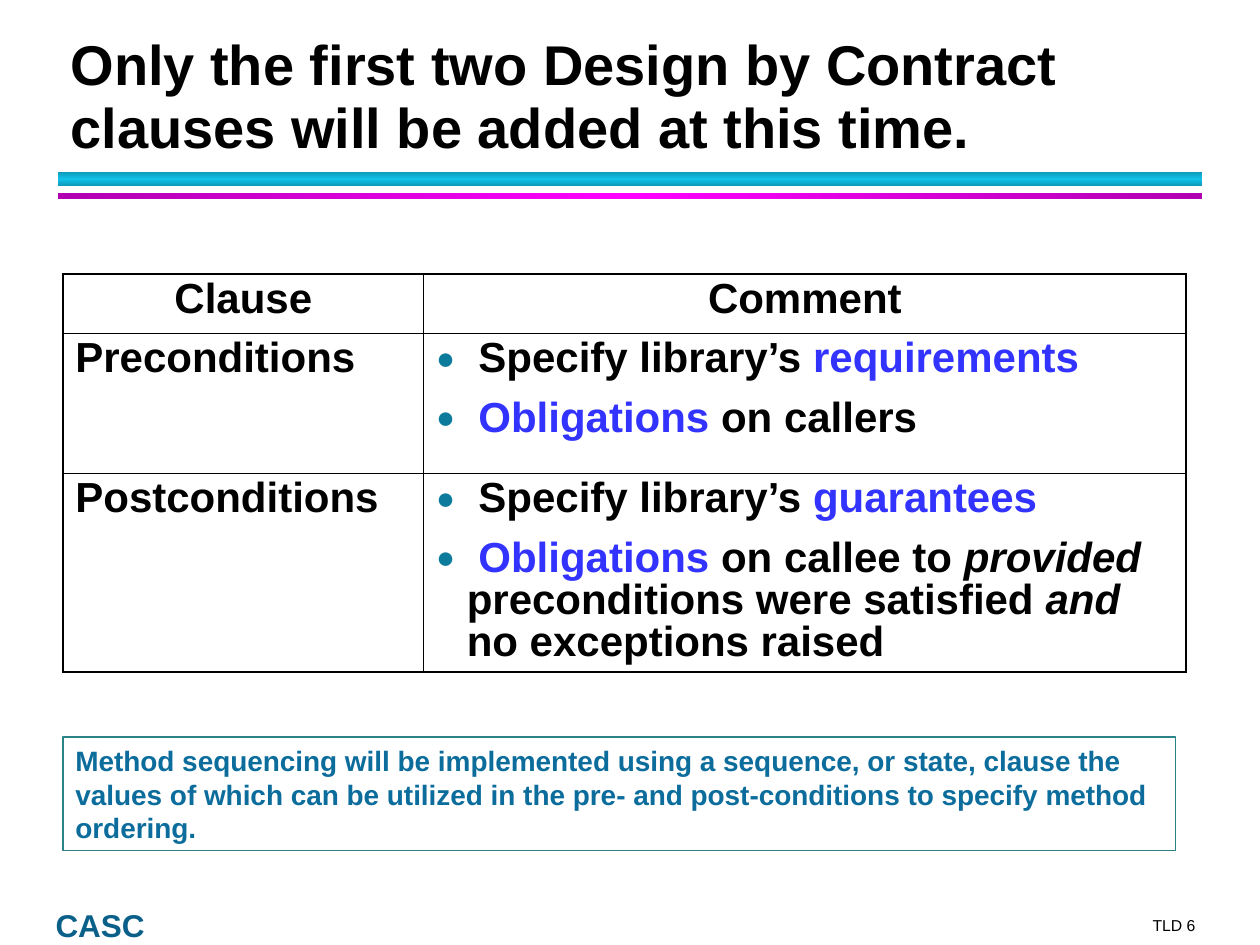
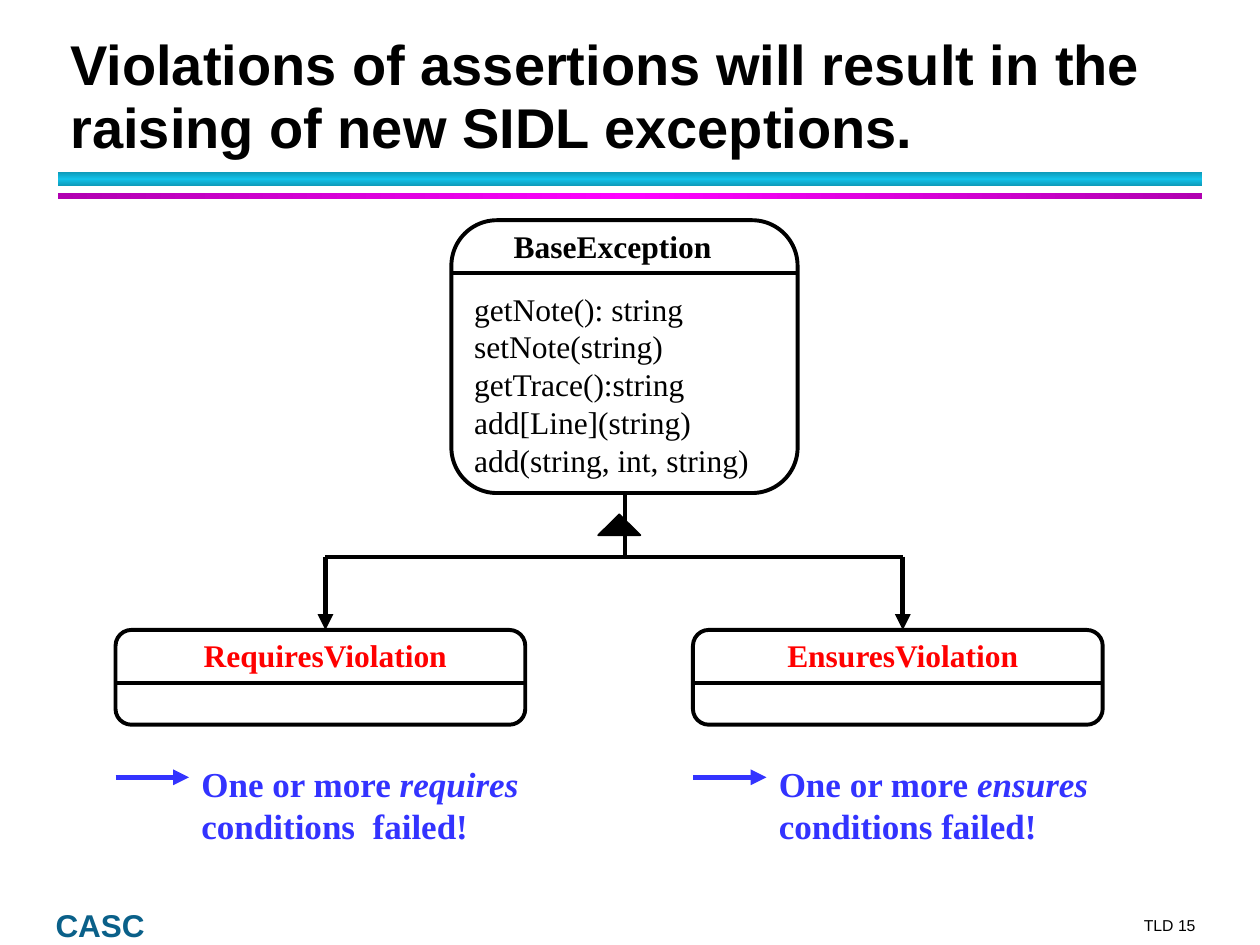
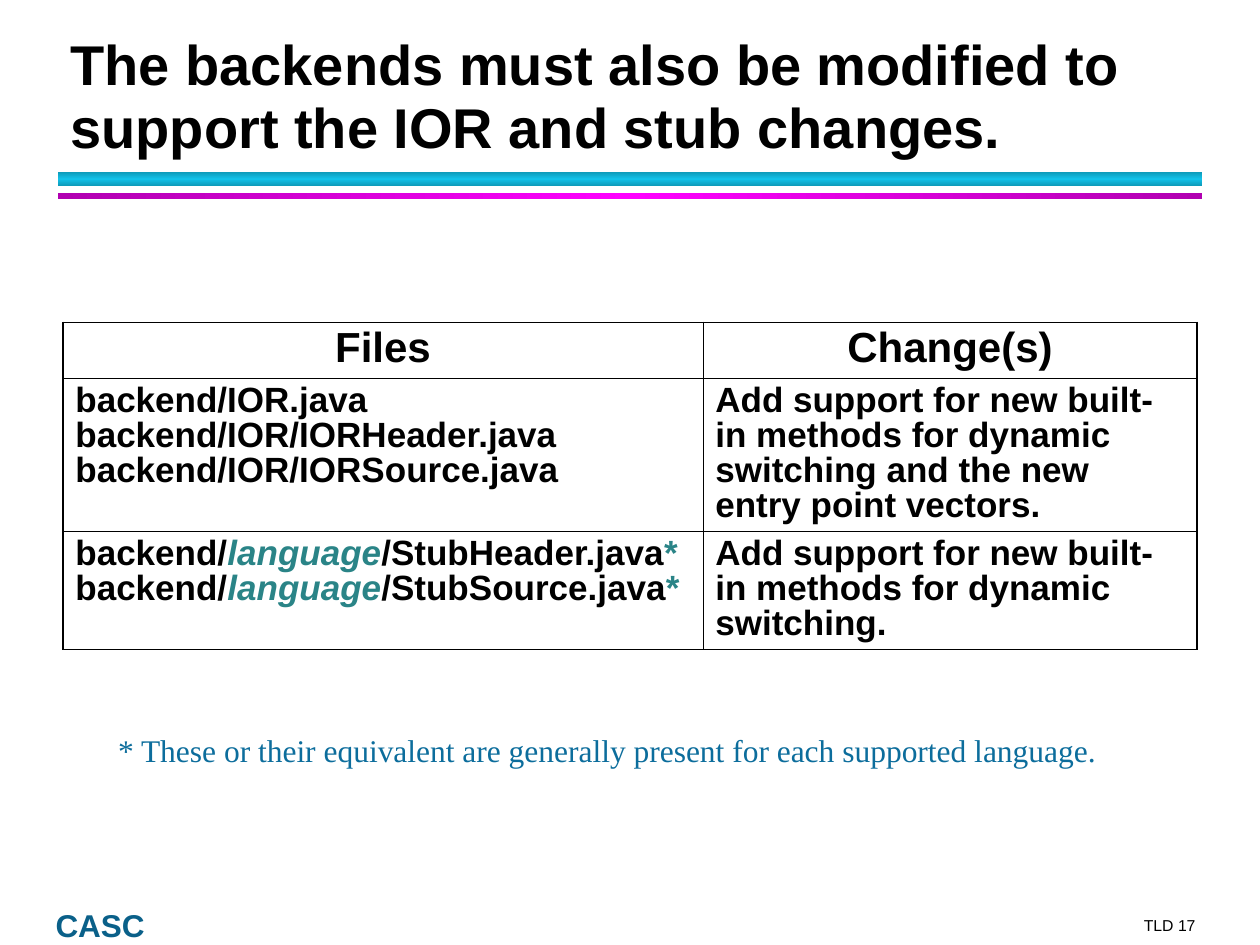
"""Builds three slides on contract clauses, exceptions and backend changes."""
from copy import deepcopy
from dataclasses import dataclass

from lxml import etree
from pptx import Presentation
from pptx import util as u
from pptx.dml.color import RGBColor
from pptx.enum import shapes, text
from pptx.oxml.ns import qn


@dataclass(frozen=True)
class Theme:
    sans: str = "Arial"
    serif: str = "Times New Roman"
    black: str = "000000"
    blue: str = "3333FF"
    red: str = "FF0000"
    teal: str = "2A8487"
    sea: str = "0C6D9C"
    dot: str = "0C7B9C"
    brand: str = "0A6089"
    cyan: tuple = ("0E9AB9", "12C2E9")
    pink: tuple = ("B100B1", "FF00FF")
    title: int = 32
    head: int = 24
    body: int = 20
    label: int = 18
    note: int = 16
    foot: int = 9
    thick: float = 3
    edge: float = 2.25
    rim: float = 1.08
    grid: float = 0.45
    hair: float = 0.75


T = Theme()
LEFT, MID, RIGHT = text.PP_ALIGN.LEFT, text.PP_ALIGN.CENTER, text.PP_ALIGN.RIGHT
TOP, BASE = text.MSO_ANCHOR.TOP, text.MSO_ANCHOR.BOTTOM
KIND = shapes.MSO_SHAPE


def cms(*sizes):
    return [u.Cm(size) for size in sizes]


def node(host, tag, **attrs):
    return etree.SubElement(host, qn(tag), {key: str(val) for key, val in attrs.items()})


class Deck:
    def __init__(self):
        self.show = Presentation()
        self.show.slide_width, self.show.slide_height = cms(25.4, 19.05)
        self.slide = None

    def start(self, title, number):
        self.slide = self.show.slides.add_slide(self.show.slide_layouts[5])
        self.band(3.47, 0.28, T.cyan, 90)
        self.band(3.89, 0.13, T.pink, 0)
        self.label((22.25, 18.47, 1.85, 0.38), [f"TLD {number}"], T.foot,
                   align=RIGHT, anchor=BASE, inset=False)
        self.label((1.12, 18.31, 1.96, 0.71), ["CASC"], T.label, color=T.brand,
                   bold=True, pitch=20, anchor=BASE, inset=False)
        head = self.slide.shapes.title
        head.left, head.top, head.width, head.height = cms(1.17, 0.84, 23.01, 2.51)
        self.words(head.text_frame, [title], T.title, bold=True, pitch=36, anchor=BASE)

    def band(self, top, height, tones, angle):
        bar = self.shape(KIND.RECTANGLE, (1.17, top, 23.06, height))
        bar.fill.gradient()
        stops = bar._element.spPr.find(".//" + qn("a:gsLst"))
        stops.append(deepcopy(stops[0]))
        bar.fill.gradient_angle = angle
        edge, core = tones
        for stop, tone, place in zip(bar.fill.gradient_stops, (edge, core, edge), (0, 0.5, 1)):
            stop.color.rgb = RGBColor.from_string(tone)
            stop.position = place

    def shape(self, kind, area, fill=None, line=None, width=1):
        item = self.slide.shapes.add_shape(kind, *cms(*area))
        item.shadow.inherit = False
        if fill:
            item.fill.solid()
            item.fill.fore_color.rgb = RGBColor.from_string(fill)
        else:
            item.fill.background()
        if line:
            item.line.color.rgb = RGBColor.from_string(line)
            item.line.width = u.Pt(width)
        else:
            item.line.fill.background()
        return item

    def words(self, frame, paras, size, font=T.sans, color=T.black, bold=False,
              align=LEFT, pitch=None, before=0, after=0, bullet=False,
              anchor=TOP, wrap=True, inset=True):
        frame.word_wrap = wrap
        frame.vertical_anchor = anchor
        side, rise = (0.25, 0.13) if inset else (0, 0)
        frame.margin_left = frame.margin_right = u.Cm(side)
        frame.margin_top = frame.margin_bottom = u.Cm(rise)
        for index, parts in enumerate(paras):
            para = frame.add_paragraph() if index else frame.paragraphs[0]
            para.alignment = align
            if pitch:
                para.line_spacing = u.Pt(pitch)
            para.space_before = u.Pt(before if index else 0)
            para.space_after = u.Pt(after)
            if bullet:
                self.bullet(para)
            for part in [parts] if isinstance(parts, str) else parts:
                piece, tone, slant = (part, color, False) if isinstance(part, str) else part
                run = para.add_run()
                run.text = piece
                run.font.name, run.font.size = font, u.Pt(size)
                run.font.bold, run.font.italic = bold, slant
                run.font.color.rgb = RGBColor.from_string(tone)

    def bullet(self, para):
        props = para._p.get_or_add_pPr()
        props.set("marL", str(u.Cm(0.62)))
        props.set("indent", str(-u.Cm(0.62)))
        node(node(props, "a:buClr"), "a:srgbClr", val=T.dot)
        node(props, "a:buSzPct", val=75000)
        node(props, "a:buFont", typeface=T.sans)
        node(props, "a:buChar", char="●")

    def label(self, area, paras, size, **style):
        box = self.slide.shapes.add_textbox(*cms(*area))
        self.words(box.text_frame, paras, size, **style)

    def line(self, start, end, width=T.edge, color=T.black, arrow=False):
        link = self.slide.shapes.add_connector(
            shapes.MSO_CONNECTOR.STRAIGHT, *cms(*start, *end))
        link.line.color.rgb = RGBColor.from_string(color)
        link.line.width = u.Pt(width)
        props = link._element.spPr
        if arrow:
            node(props.find(qn("a:ln")), "a:tailEnd", type="triangle")
        node(props, "a:effectLst")

    def card(self, area, name, color=T.black, shift=0):
        left, top, width, height = area
        body = self.shape(KIND.ROUNDED_RECTANGLE, area, line=T.black, width=T.edge)
        body.adjustments[0] = 0.167
        self.label((left + shift, top, width, 1.02), [name], T.label, font=T.serif,
                   color=color, bold=True, align=MID)
        self.line((left, top + 1.06), (left + width, top + 1.06))

    def table(self, left, top, cols, rows, cells):
        grid = self.slide.shapes.add_table(
            len(rows), len(cols), *cms(left, top, sum(cols), sum(rows))).table
        grid.first_row = grid.horz_banding = False
        for col, width in zip(grid.columns, cols):
            col.width = u.Cm(width)
        for row, height in zip(grid.rows, rows):
            row.height = u.Cm(height)
        for i, line in enumerate(cells):
            for j, (paras, style) in enumerate(line):
                cell = grid.cell(i, j)
                self.words(cell.text_frame, paras, bold=True, **style)
                cell.margin_left = cell.margin_right = u.Cm(0.25)
                cell.margin_top = cell.margin_bottom = u.Cm(0.13)
                cell.fill.background()
                self.frame(cell, {"L": j == 0, "R": j == len(cols) - 1,
                                  "T": i == 0, "B": i == len(rows) - 1})

    def frame(self, cell, sides):
        props = cell._tc.get_or_add_tcPr()
        for index, (side, outer) in enumerate(sides.items()):
            rule = node(props, f"a:ln{side}", w=int(u.Pt(T.rim if outer else T.grid)))
            node(node(rule, "a:solidFill"), "a:srgbClr", val=T.black)
            props.insert(index, rule)


def clauses(deck):
    deck.start("Only the first two Design by Contract clauses will be added at this time.", 6)
    plain = dict(size=T.head, pitch=24, before=6, after=4)
    head, dots = plain | dict(align=MID), plain | dict(bullet=True)
    deck.table(1.27, 5.53, (7.27, 15.37), (1.19, 2.82, 3.99), [
        [(["Clause"], head), (["Comment"], head)],
        [(["Preconditions"], plain),
         ([[" Specify library’s ", ("requirements", T.blue, False)],
           [" ", ("Obligations", T.blue, False), " on callers"]], dots)],
        [(["Postconditions"], plain),
         ([[" Specify library’s ", ("guarantees", T.blue, False)],
           [(" Obligations", T.blue, False), " on callee to ", ("provided", T.black, True),
            " preconditions were satisfied ", ("and", T.black, True),
            " no exceptions raised"]], dots)],
    ])
    note = deck.shape(KIND.RECTANGLE, (1.27, 14.86, 22.43, 2.29), line=T.teal, width=T.hair)
    deck.words(note.text_frame, [
        "Method sequencing will be implemented using a sequence, or state, clause the "
        "values of which can be utilized in the pre- and post-conditions to specify "
        "method ordering."], T.note, color=T.sea, bold=True)


def errors(deck):
    deck.start("Violations of assertions will result in the raising of new SIDL exceptions.", 15)
    deck.card((9.1, 4.44, 6.98, 5.5), "BaseException", shift=-0.24)
    deck.label((9.31, 5.71, 6.05, 4.06), [
        "getNote(): string", "setNote(string)", "getTrace():string",
        "add[Line](string)", "add(string, int, string)"],
        T.label, font=T.serif, wrap=False)
    step, fork, stem = 11.64, 11.22, 12.59
    kids = [("RequiresViolation", "requires", " conditions  failed!"),
            ("EnsuresViolation", "ensures", " conditions failed!")]
    for index, (name, clause, rest) in enumerate(kids):
        left = 2.33 + index * step
        deck.card((left, 12.7, 8.26, 1.91), name, T.red, 0.1)
        deck.line((left + 4.23, fork), (left + 4.23, 12.7), T.thick, arrow=True)
        deck.label((left + 1.48, 15.24, 7.62, 1.96),
                   [["One or more ", (clause, T.blue, True), rest]],
                   T.body, font=T.serif, color=T.blue, bold=True)
        deck.line((left, 15.67), (left + 1.48, 15.67), T.thick, T.blue, arrow=True)
    deck.line((6.56, fork), (6.56 + step, fork))
    deck.line((stem, 9.94), (stem, fork))
    deck.shape(KIND.ISOSCELES_TRIANGLE, (12.06, 10.37, 0.85, 0.42), T.black, T.black)


def backends(deck):
    deck.start("The backends must also be modified to support the IOR and stub changes.", 17)
    head = dict(size=T.head, pitch=24, align=MID)
    plain = dict(size=T.body, pitch=20)
    stubs = [["backend/", ("language", T.teal, True), f"/Stub{part}.java",
              ("*", T.teal, False)] for part in ("Header", "Source")]
    deck.table(1.27, 6.5, (12.9, 9.96), (1.12, 3.07, 2.39), [
        [(["Files"], head), (["Change(s)"], head)],
        [(["backend/IOR.java", "backend/IOR/IORHeader.java",
           "backend/IOR/IORSource.java"], plain),
         (["Add support for new built-in methods for dynamic switching and the new "
           "entry point vectors."], plain)],
        [(stubs, plain),
         (["Add support for new built-in methods for dynamic switching."], plain)],
    ])
    deck.label((2.13, 14.6, 20.24, 1.02), [
        "* These or their equivalent are generally present for each supported language."],
        T.label, font=T.serif, color=T.sea, wrap=False)


def main():
    deck = Deck()
    for build in (clauses, errors, backends):
        build(deck)
    deck.show.save("out.pptx")


if __name__ == "__main__":
    main()
